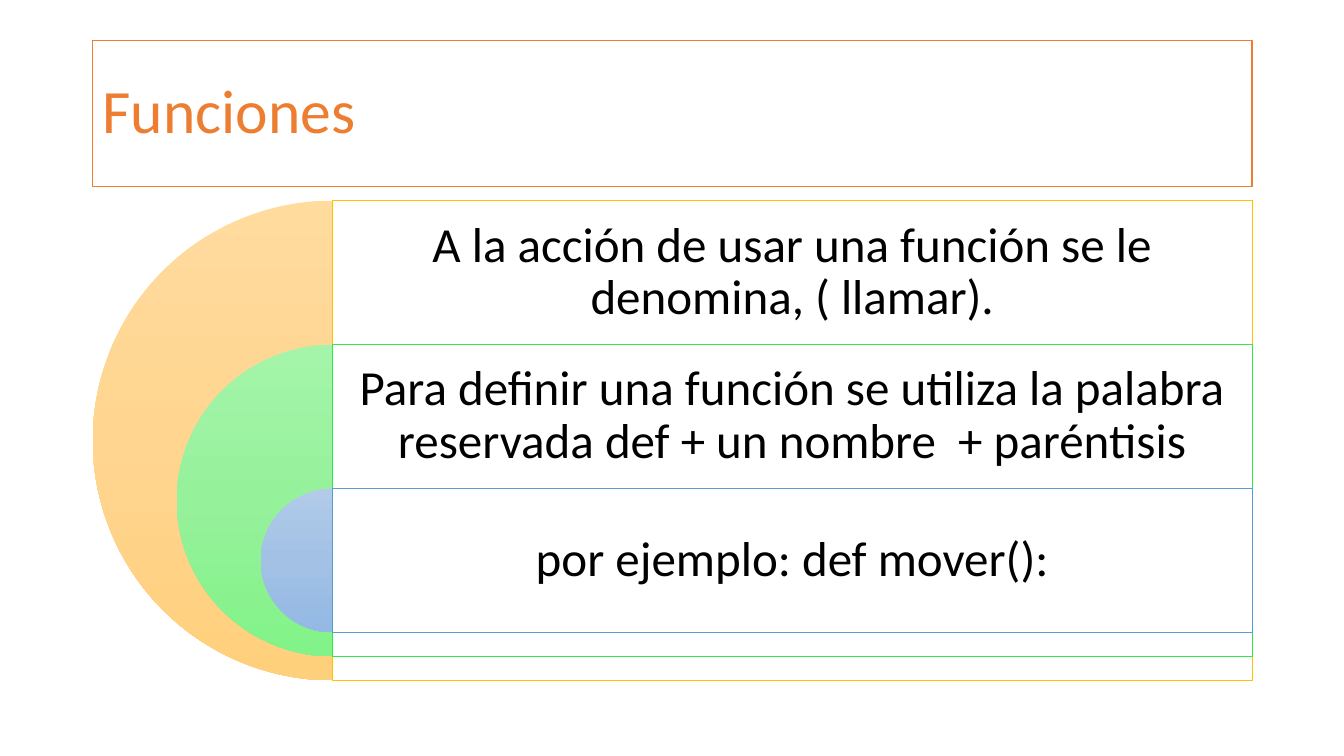
import copy
import pptx
import pptx.dml.color
import pptx.enum.shapes
import pptx.enum.text
import pptx.oxml
import pptx.oxml.ns
import pptx.util

# Content: text, line colour, gradient colours from top to bottom
TITLE = "Funciones"
ACCENT = "ED7D31"
LEVELS = [
    ("A la acción de usar una función se le denomina, ( llamar).",
     "FFC000", ("FFDB9E", "FFD590", "FFD07C")),
    ("Para definir una función se utiliza la palabra reservada def + un nombre  + paréntisis",
     "30E845", ("A4F4A9", "96F19B", "82F388")),
    ("por ejemplo: def mover():",
     "5B9BD5", ("B1CBE9", "A3C1E5", "93B9E4")),
]

# Layout in inches
SLIDE_WIDTH, SLIDE_HEIGHT = 13.33, 7.5
LEFT, WIDTH = 0.92, 11.5
TITLE_TOP, TITLE_HEIGHT = 0.4, 1.45
DIAGRAM_TOP, DIAMETER = 1.99, 4.76
AXIS = LEFT + DIAMETER / 2
PANEL_WIDTH = LEFT + WIDTH - AXIS
BAND = 0.3 * DIAMETER       # height of one text row
SHRINK = 0.35               # share of the diameter lost at each level

SHAPES = pptx.enum.shapes.MSO_SHAPE
ALIGN = pptx.enum.text.PP_ALIGN


def color(value):
    return pptx.dml.color.RGBColor.from_string(value)


def inches(*lengths):
    return [pptx.util.Inches(length) for length in lengths]


def add_shape(page, kind, *place):
    shape = page.shapes.add_shape(kind, *inches(*place))
    shape.shadow.inherit = False
    return shape


def add_panel(page, line, points, *place):
    panel = add_shape(page, SHAPES.RECTANGLE, *place)
    panel.fill.solid()
    panel.fill.fore_color.rgb = color("FFFFFF")
    panel.line.color.rgb = color(line)
    panel.line.width = pptx.util.Pt(points)
    return panel


def set_opacity(shape, percent):
    solid = shape._element.spPr.find(pptx.oxml.ns.qn("a:solidFill"))
    alpha = pptx.oxml.parse_xml(
        f'<a:alpha {pptx.oxml.ns.nsdecls("a")} val="{percent * 1000}"/>')
    solid[0].append(alpha)


def set_gradient(shape, colors):
    shape.fill.gradient()
    shape.fill.gradient_angle = 270
    stops = shape._element.spPr.find(".//" + pptx.oxml.ns.qn("a:gsLst"))
    stops.insert(1, copy.deepcopy(stops[0]))
    for index, stop in enumerate(shape.fill.gradient_stops):
        stop.position = index / (len(colors) - 1)
        stop.color.rgb = color(colors[index])


def write(shape, text, size, ink, align):
    frame = shape.text_frame
    frame.word_wrap = True
    frame.vertical_anchor = pptx.enum.text.MSO_ANCHOR.MIDDLE
    para = frame.paragraphs[0]
    para.text = text
    para.alignment = align
    para.line_spacing = 0.9
    para.font.name = "Calibri"
    para.font.size = pptx.util.Pt(size)
    para.font.color.rgb = color(ink)
    return frame


def add_level(page, index, text, line, gradient):
    top = DIAGRAM_TOP + index * BAND
    size = DIAMETER * (1 - SHRINK * index)

    # Half circle, from 90 to 270 degrees
    half = add_shape(page, SHAPES.PIE, AXIS - size / 2, top, size, size)
    half.adjustments[0], half.adjustments[1] = 54, 162
    set_gradient(half, gradient)
    half.line.fill.background()

    # Panel beside it, and its text in the first row
    panel = add_panel(page, line, 0.5, AXIS, top, PANEL_WIDTH, size)
    set_opacity(panel, 90)
    box = page.shapes.add_textbox(*inches(AXIS, top, PANEL_WIDTH, BAND))
    frame = write(box, text, 35, "000000", ALIGN.CENTER)
    frame.margin_left = frame.margin_right = pptx.util.Inches(0.15)
    frame.margin_top = frame.margin_bottom = pptx.util.Inches(0.15)


def main():
    deck = pptx.Presentation()
    deck.slide_width, deck.slide_height = inches(SLIDE_WIDTH, SLIDE_HEIGHT)
    page = deck.slides.add_slide(deck.slide_layouts[6])

    # Title
    title = add_panel(page, ACCENT, 1, LEFT, TITLE_TOP, WIDTH, TITLE_HEIGHT)
    write(title, TITLE, 44, ACCENT, ALIGN.LEFT)

    # Nested levels
    for index, level in enumerate(LEVELS):
        add_level(page, index, *level)

    deck.save("out.pptx")


if __name__ == "__main__":
    main()
